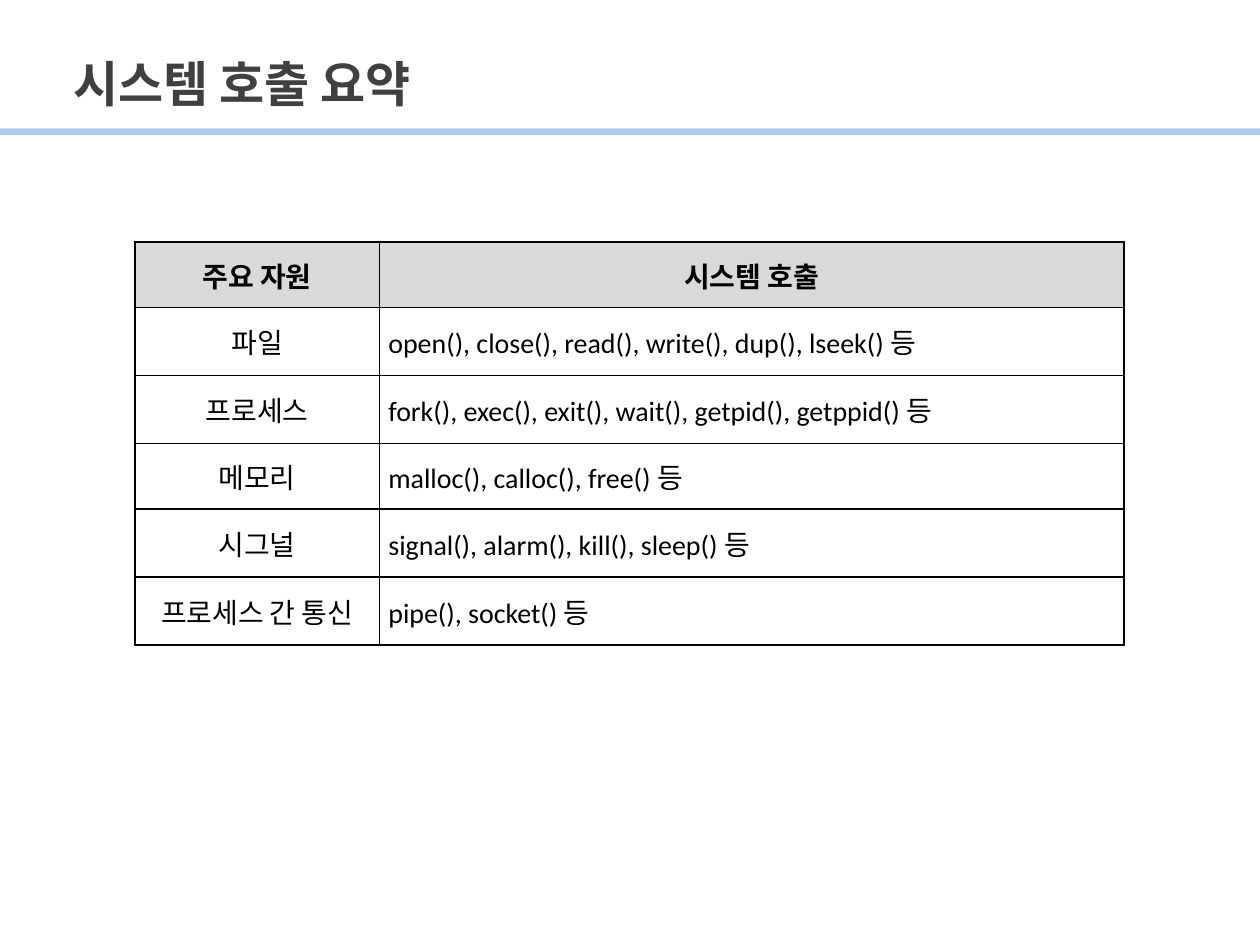
from dataclasses import dataclass

from lxml import etree
from pptx import Presentation
from pptx.dml.color import RGBColor
from pptx.enum.shapes import MSO_SHAPE
from pptx.enum.text import MSO_ANCHOR, MSO_AUTO_SIZE, PP_ALIGN
from pptx.oxml.ns import qn
from pptx.slide import Slide
from pptx.table import _Cell
from pptx.text.text import TextFrame
from pptx.util import Cm, Pt

RECTANGLE = MSO_SHAPE.RECTANGLE
MIDDLE, BOTTOM = MSO_ANCHOR.MIDDLE, MSO_ANCHOR.BOTTOM
LEFT, CENTER, JUSTIFY = PP_ALIGN.LEFT, PP_ALIGN.CENTER, PP_ALIGN.JUSTIFY
TITLE_ONLY = 5


@dataclass(frozen=True)
class Theme:
    title_color: str = "404040"
    text_color: str = "000000"
    rule_color: str = "5B9BD5"
    rule_alpha: int = 50
    header_fill: str = "D9D9D9"
    border_color: str = "000000"
    border_width: float = 1
    title_size: int = 28
    cell_size: int = 16
    korean_font: str = "Noto Sans CJK KR"
    latin_font: str = "Calibri"


@dataclass(frozen=True)
class ResourceRow:
    resource: str
    calls: str
    height: float = 1.37
    header: bool = False


THEME = Theme()
SLIDE_WIDTH, SLIDE_HEIGHT = 25.4, 19.05
COLUMN_WIDTHS = (4.93, 15.01)
ROWS = (
    ResourceRow("주요 자원", "시스템 호출", height=1.32, header=True),
    ResourceRow("파일", "open(), close(), read(), write(), dup(), lseek() 등"),
    ResourceRow("프로세스", "fork(), exec(), exit(), wait(), getpid(), getppid() 등"),
    ResourceRow("메모리", "malloc(), calloc(), free() 등", height=1.32),
    ResourceRow("시그널", "signal(), alarm(), kill(), sleep() 등"),
    ResourceRow("프로세스 간 통신", "pipe(), socket() 등"),
)


def write_text(frame: TextFrame, text: str, *, size: int, color: str, latin: str,
               bold: bool = False, align: PP_ALIGN = LEFT, spacing: float = 1.0) -> None:
    paragraph = frame.paragraphs[0]
    paragraph.alignment = align
    paragraph.line_spacing = spacing
    run = paragraph.add_run()
    run.text = text
    run.font.size = Pt(size)
    run.font.bold = bold
    run.font.color.rgb = RGBColor.from_string(color)
    run.font.name = latin
    properties = run.font._element
    etree.SubElement(properties, qn("a:ea"), typeface=THEME.korean_font)


def draw_title(slide: Slide, text: str) -> None:
    title = slide.shapes.title
    title.left, title.top, title.width, title.height = Cm(1.22), Cm(0.38), Cm(23.01), Cm(2.03)
    frame = title.text_frame
    frame.word_wrap = True
    frame.auto_size = MSO_AUTO_SIZE.NONE
    frame.vertical_anchor = BOTTOM
    write_text(frame, text, size=THEME.title_size, color=THEME.title_color,
               latin=THEME.korean_font, bold=True, spacing=0.9)


def draw_title_rule(slide: Slide) -> None:
    """Draw the translucent full-width band behind the title."""
    rule = slide.shapes.add_shape(RECTANGLE, 0, Cm(2.59), Cm(SLIDE_WIDTH), Cm(0.13))
    rule.shadow.inherit = False
    rule.fill.solid()
    rule.fill.fore_color.rgb = RGBColor.from_string(THEME.rule_color)
    rule.line.fill.background()
    color = rule.element.spPr.find(qn("a:solidFill"))[0]
    etree.SubElement(color, qn("a:alpha"), val=str(THEME.rule_alpha * 1000))
    slide.shapes.title.element.addprevious(rule.element)


def add_borders(cell: _Cell) -> None:
    """Outline all four sides; the lines must precede the fill in the XML."""
    properties = cell._tc.get_or_add_tcPr()
    for position, side in enumerate(("lnL", "lnR", "lnT", "lnB")):
        border = etree.Element(qn(f"a:{side}"), w=str(Pt(THEME.border_width)))
        fill = etree.SubElement(border, qn("a:solidFill"))
        etree.SubElement(fill, qn("a:srgbClr"), val=THEME.border_color)
        properties.insert(position, border)


def fill_cell(cell: _Cell, text: str, *, align: PP_ALIGN, header: bool) -> None:
    cell.vertical_anchor = MIDDLE
    cell.margin_left = cell.margin_right = Cm(0.18)
    cell.margin_top = cell.margin_bottom = Cm(0.05)
    if header:
        cell.fill.solid()
        cell.fill.fore_color.rgb = RGBColor.from_string(THEME.header_fill)
    else:
        cell.fill.background()
    add_borders(cell)
    write_text(cell.text_frame, text, size=THEME.cell_size, color=THEME.text_color,
               latin=THEME.latin_font, bold=header, align=align)


def draw_call_table(slide: Slide, rows: tuple[ResourceRow, ...]) -> None:
    table = slide.shapes.add_table(
        len(rows), len(COLUMN_WIDTHS), Cm(2.72), Cm(4.88),
        Cm(sum(COLUMN_WIDTHS)), Cm(sum(row.height for row in rows))).table
    table.horz_banding = False
    for column, width in zip(table.columns, COLUMN_WIDTHS):
        column.width = Cm(width)
    for index, row in enumerate(rows):
        table.rows[index].height = Cm(row.height)
        fill_cell(table.cell(index, 0), row.resource, align=CENTER, header=row.header)
        fill_cell(table.cell(index, 1), row.calls,
                  align=CENTER if row.header else JUSTIFY, header=row.header)


def main() -> None:
    presentation = Presentation()
    presentation.slide_width, presentation.slide_height = Cm(SLIDE_WIDTH), Cm(SLIDE_HEIGHT)
    slide = presentation.slides.add_slide(presentation.slide_layouts[TITLE_ONLY])
    draw_title(slide, "시스템 호출 요약")
    draw_title_rule(slide)
    draw_call_table(slide, ROWS)
    presentation.save("out.pptx")


if __name__ == "__main__":
    main()
